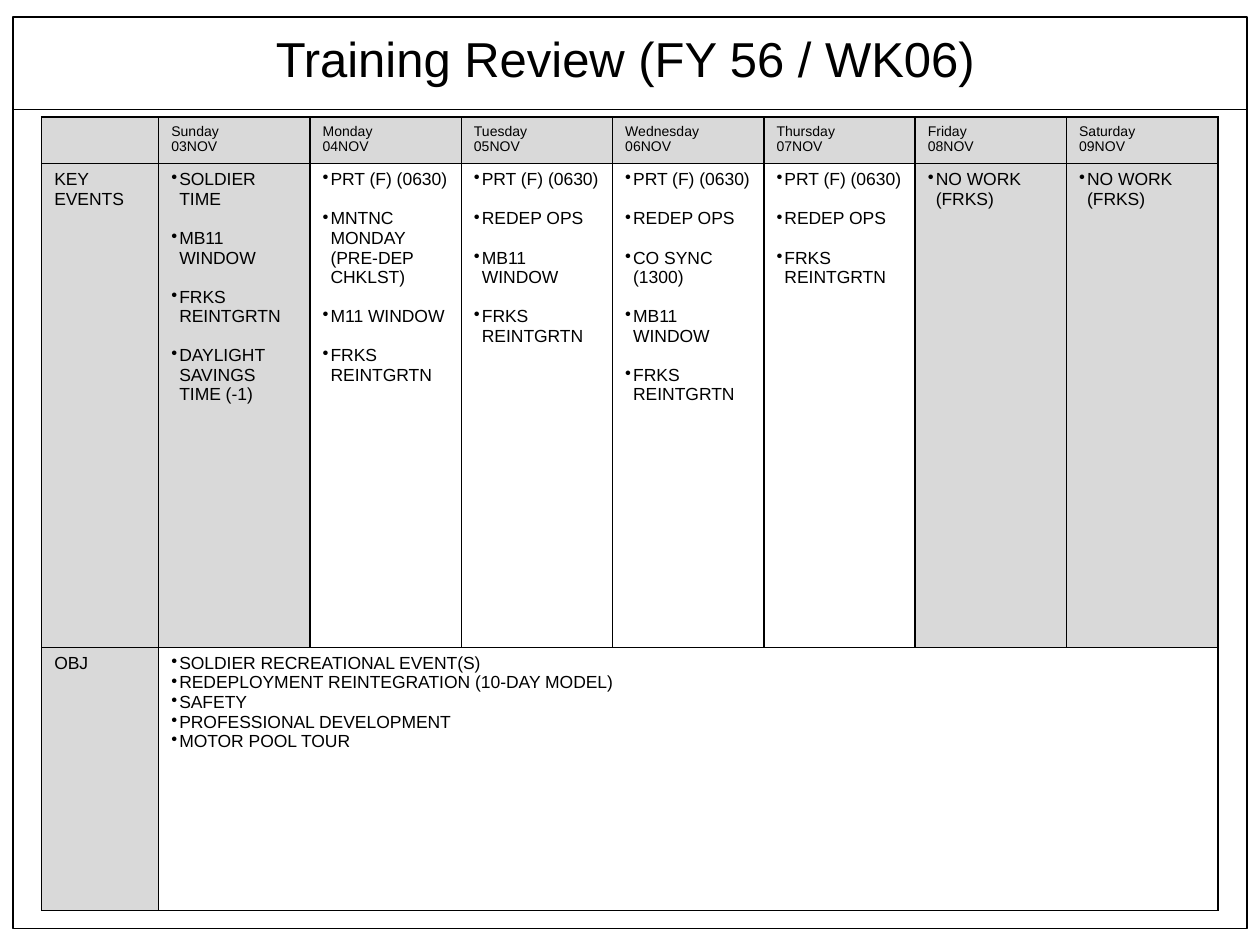
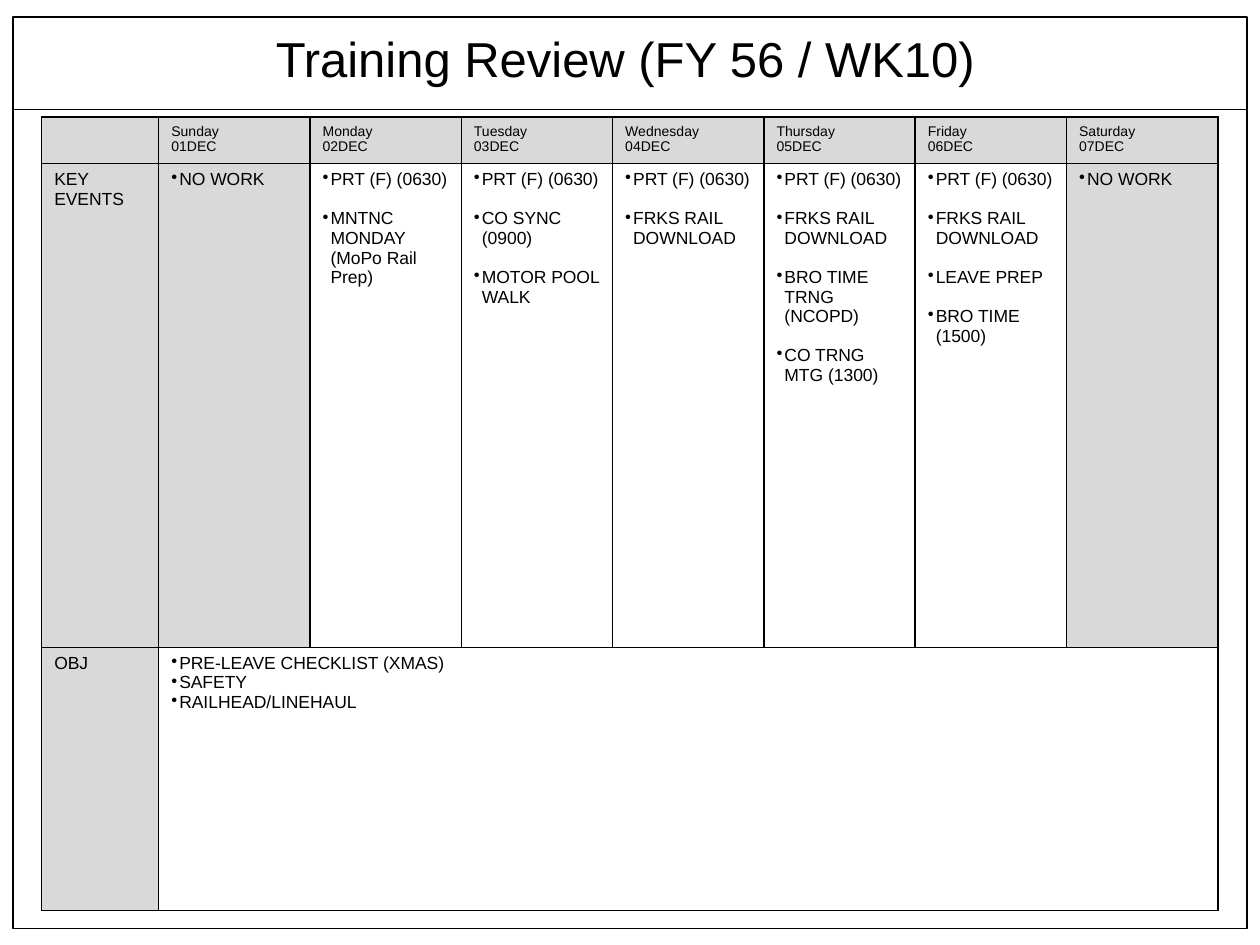
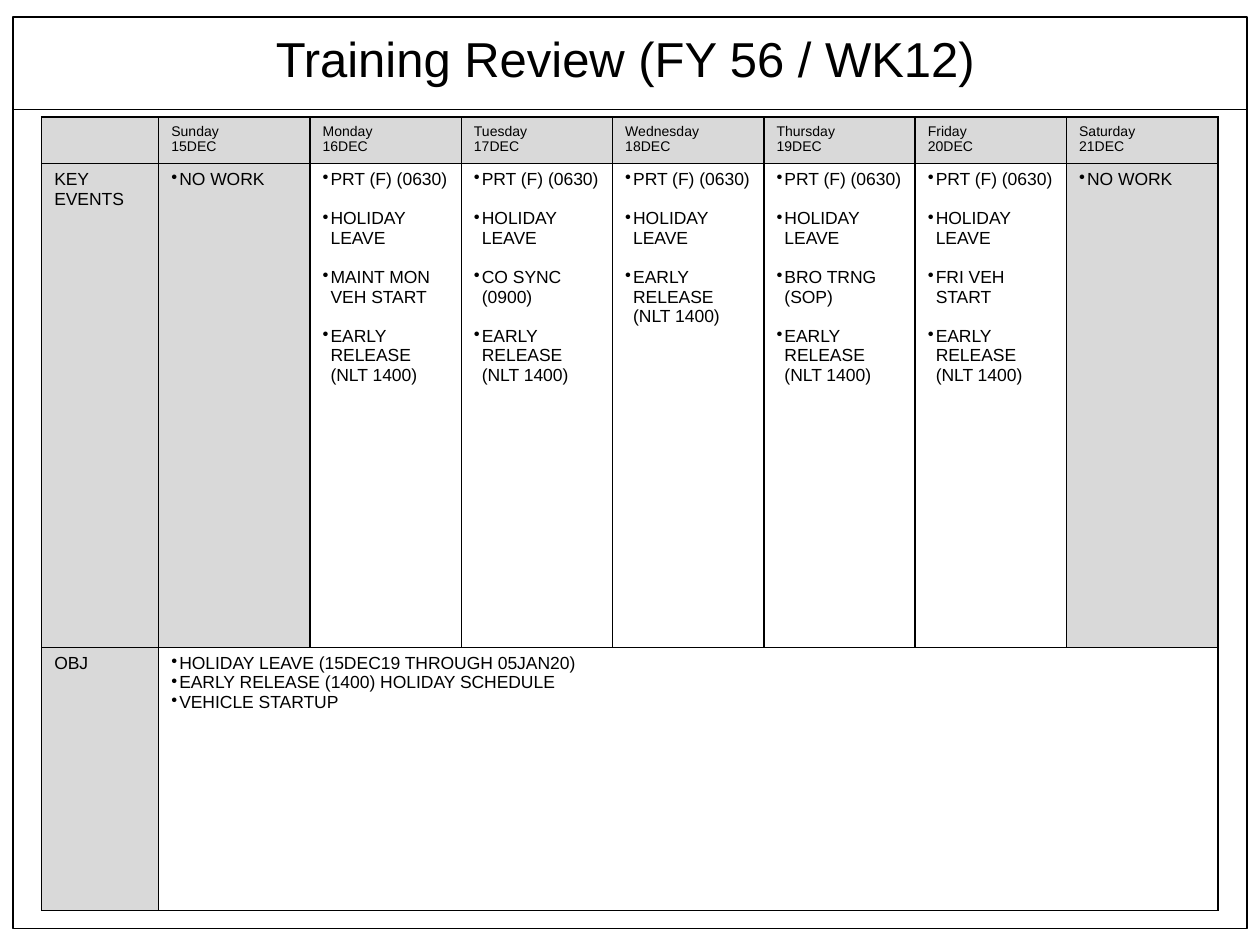
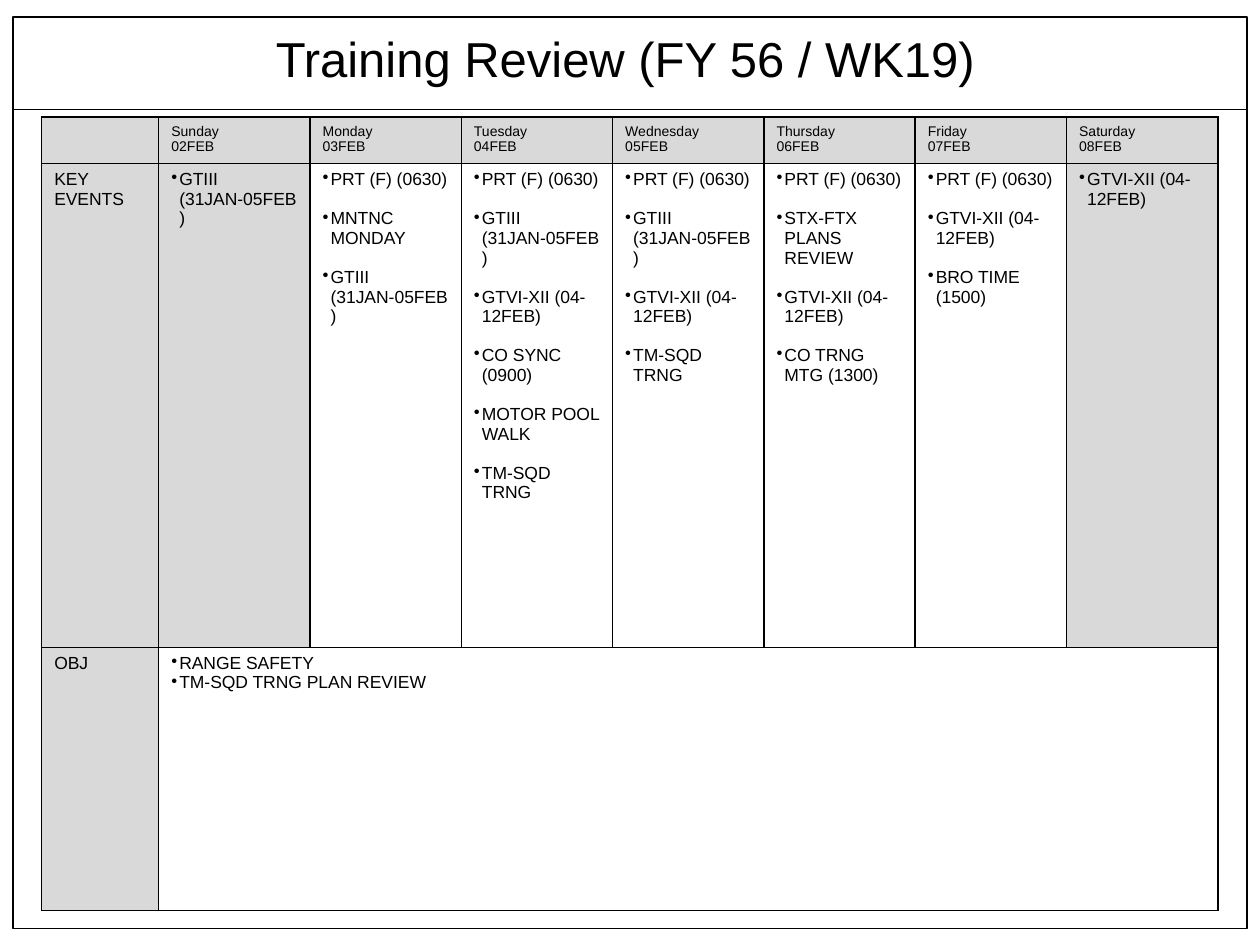
"""Build the weekly training review slides, one schedule table per week."""
import dataclasses

import lxml.etree
import pptx
import pptx.dml.color
import pptx.enum.shapes
import pptx.enum.text
import pptx.oxml.ns
import pptx.util

Cm = pptx.util.Cm
Pt = pptx.util.Pt
qn = pptx.oxml.ns.qn


@dataclasses.dataclass(frozen=True)
class Theme:
    ink: pptx.dml.color.RGBColor = pptx.dml.color.RGBColor(0, 0, 0)
    paper: pptx.dml.color.RGBColor = pptx.dml.color.RGBColor(255, 255, 255)
    shade: pptx.dml.color.RGBColor = pptx.dml.color.RGBColor(217, 217, 217)
    font: str = "Arial"
    title_size: int = Pt(28)
    day_size: int = Pt(8)
    body_size: int = Pt(10)
    event_gap: int = Pt(11.2)
    bullet_indent: int = Cm(0.16)
    rule: int = Pt(1)


theme = Theme()

days = ["Sunday", "Monday", "Tuesday", "Wednesday", "Thursday", "Friday", "Saturday"]
column_widths = [Cm(2.36)] + [Cm(3.05)] * len(days)
row_heights = [Cm(0.94), Cm(9.75), Cm(5.3)]

fitness = "PRT (F) (0630)"
reintegration = "FRKS REINTGRTN"
rail = "FRKS RAIL DOWNLOAD"
holiday = "HOLIDAY LEAVE"
release = "EARLY RELEASE (NLT 1400)"
gunnery_3 = "GTIII (31JAN-05FEB)"
gunnery_6 = "GTVI-XII (04-12FEB)"

weeks = [
    {
        "number": "06", "first_day": 3, "month": "NOV", "shaded_days": {0, 5, 6},
        "events": [
            ["SOLDIER TIME", "MB11 WINDOW", reintegration, "DAYLIGHT SAVINGS TIME (-1)"],
            [fitness, "MNTNC MONDAY (PRE-DEP CHKLST)", "M11 WINDOW", reintegration],
            [fitness, "REDEP OPS", "MB11 WINDOW", reintegration],
            [fitness, "REDEP OPS", "CO SYNC (1300)", "MB11 WINDOW", reintegration],
            [fitness, "REDEP OPS", reintegration],
            ["NO WORK (FRKS)"],
            ["NO WORK (FRKS)"],
        ],
        "objectives": [
            "SOLDIER RECREATIONAL EVENT(S)",
            "REDEPLOYMENT REINTEGRATION (10-DAY MODEL)",
            "SAFETY",
            "PROFESSIONAL DEVELOPMENT",
            "MOTOR POOL TOUR",
        ],
    },
    {
        "number": "10", "first_day": 1, "month": "DEC", "shaded_days": {0, 6},
        "events": [
            ["NO WORK"],
            [fitness, "MNTNC MONDAY (MoPo Rail Prep)"],
            [fitness, "CO SYNC (0900)", "MOTOR POOL WALK"],
            [fitness, rail],
            [fitness, rail, "BRO TIME TRNG (NCOPD)", "CO TRNG MTG (1300)"],
            [fitness, rail, "LEAVE PREP", "BRO TIME (1500)"],
            ["NO WORK"],
        ],
        "objectives": ["PRE-LEAVE CHECKLIST (XMAS)", "SAFETY", "RAILHEAD/LINEHAUL"],
    },
    {
        "number": "12", "first_day": 15, "month": "DEC", "shaded_days": {0, 6},
        "events": [
            ["NO WORK"],
            [fitness, holiday, "MAINT MON VEH START", release],
            [fitness, holiday, "CO SYNC (0900)", release],
            [fitness, holiday, release],
            [fitness, holiday, "BRO TRNG (SOP)", release],
            [fitness, holiday, "FRI VEH START", release],
            ["NO WORK"],
        ],
        "objectives": [
            "HOLIDAY LEAVE (15DEC19 THROUGH 05JAN20)",
            "EARLY RELEASE (1400) HOLIDAY SCHEDULE",
            "VEHICLE STARTUP",
        ],
    },
    {
        "number": "19", "first_day": 2, "month": "FEB", "shaded_days": {0, 6},
        "events": [
            [gunnery_3],
            [fitness, "MNTNC MONDAY", gunnery_3],
            [fitness, gunnery_3, gunnery_6, "CO SYNC (0900)", "MOTOR POOL WALK", "TM-SQD TRNG"],
            [fitness, gunnery_3, gunnery_6, "TM-SQD TRNG"],
            [fitness, "STX-FTX PLANS REVIEW", gunnery_6, "CO TRNG MTG (1300)"],
            [fitness, gunnery_6, "BRO TIME (1500)"],
            [gunnery_6],
        ],
        "objectives": ["RANGE SAFETY", "TM-SQD TRNG PLAN REVIEW"],
    },
]


def write_lines(text_frame, lines, size, bulleted=False, gap=0):
    for index, line in enumerate(lines):
        paragraph = text_frame.add_paragraph() if index else text_frame.paragraphs[0]
        if bulleted:
            properties = paragraph._p.get_or_add_pPr()
            properties.set("marL", str(theme.bullet_indent))
            properties.set("indent", str(-theme.bullet_indent))
            lxml.etree.SubElement(properties, qn("a:buChar"), char="•")
        if index and gap:
            paragraph.space_before = gap
        run = paragraph.add_run()
        run.text = line
        for name, value in {"name": theme.font, "size": size, "bold": False}.items():
            setattr(run.font, name, value)
        run.font.color.rgb = theme.ink


def format_cell(cell, fill_color):
    properties = cell._tc.get_or_add_tcPr()
    for side in ("lnL", "lnR", "lnT", "lnB"):
        border = lxml.etree.SubElement(properties, qn(f"a:{side}"), w=str(theme.rule))
        border_fill = lxml.etree.SubElement(border, qn("a:solidFill"))
        lxml.etree.SubElement(border_fill, qn("a:srgbClr"), val=str(theme.ink))
    cell.fill.solid()
    cell.fill.fore_color.rgb = fill_color


presentation = pptx.Presentation()
presentation.slide_width = Cm(25.4)
presentation.slide_height = Cm(19.05)

for week in weeks:
    slide = presentation.slides.add_slide(presentation.slide_layouts[6])

    frame = slide.shapes.add_shape(
        pptx.enum.shapes.MSO_SHAPE.RECTANGLE, Cm(0.27), Cm(0.35), Cm(24.87), Cm(18.37))
    frame.shadow.inherit = False
    frame.fill.background()
    title_rule = slide.shapes.add_connector(
        pptx.enum.shapes.MSO_CONNECTOR.STRAIGHT, Cm(0.25), Cm(2.21), Cm(25.13), Cm(2.21))
    lxml.etree.SubElement(title_rule._element.spPr, qn("a:effectLst"))
    for shape in (frame, title_rule):
        shape.line.color.rgb = theme.ink
        shape.line.width = theme.rule

    title = slide.shapes.add_textbox(Cm(5.31), Cm(0.46), Cm(14.78), Cm(1.45))
    title_format = {
        "word_wrap": False,
        "auto_size": pptx.enum.text.MSO_AUTO_SIZE.SHAPE_TO_FIT_TEXT,
    }
    for name, value in title_format.items():
        setattr(title.text_frame, name, value)
    write_lines(title.text_frame, [f"Training Review (FY 56 / WK{week['number']})"], theme.title_size)

    table = slide.shapes.add_table(
        len(row_heights), len(column_widths), Cm(0.84), Cm(2.36),
        sum(column_widths), sum(row_heights)).table
    for name, value in {"first_row": False, "horz_banding": False}.items():
        setattr(table, name, value)
    for column, width in zip(table.columns, column_widths):
        column.width = width
    for row, height in zip(table.rows, row_heights):
        row.height = height

    shaded_columns = {day + 1 for day in week["shaded_days"]}
    for row_index in range(len(row_heights)):
        for column_index in range(len(column_widths)):
            is_shaded = (row_index == 0 or column_index == 0
                         or row_index == 1 and column_index in shaded_columns)
            format_cell(table.cell(row_index, column_index),
                        theme.shade if is_shaded else theme.paper)

    corner = table.cell(0, 0).text_frame.paragraphs[0]
    lxml.etree.SubElement(corner._p, qn("a:endParaRPr"), sz=str(int(theme.day_size.pt * 100)))
    for row_index, label in enumerate(["KEY EVENTS", "OBJ"], start=1):
        write_lines(table.cell(row_index, 0).text_frame, [label], theme.body_size)

    for day_index, (day, events) in enumerate(zip(days, week["events"])):
        date = f"{week['first_day'] + day_index:02d}{week['month']}"
        write_lines(table.cell(0, day_index + 1).text_frame, [day, date], theme.day_size)
        write_lines(table.cell(1, day_index + 1).text_frame, events, theme.body_size,
                    bulleted=True, gap=theme.event_gap)

    objectives_cell = table.cell(2, 1)
    objectives_cell.merge(table.cell(2, len(days)))
    write_lines(objectives_cell.text_frame, week["objectives"], theme.body_size, bulleted=True)

presentation.save("out.pptx")
